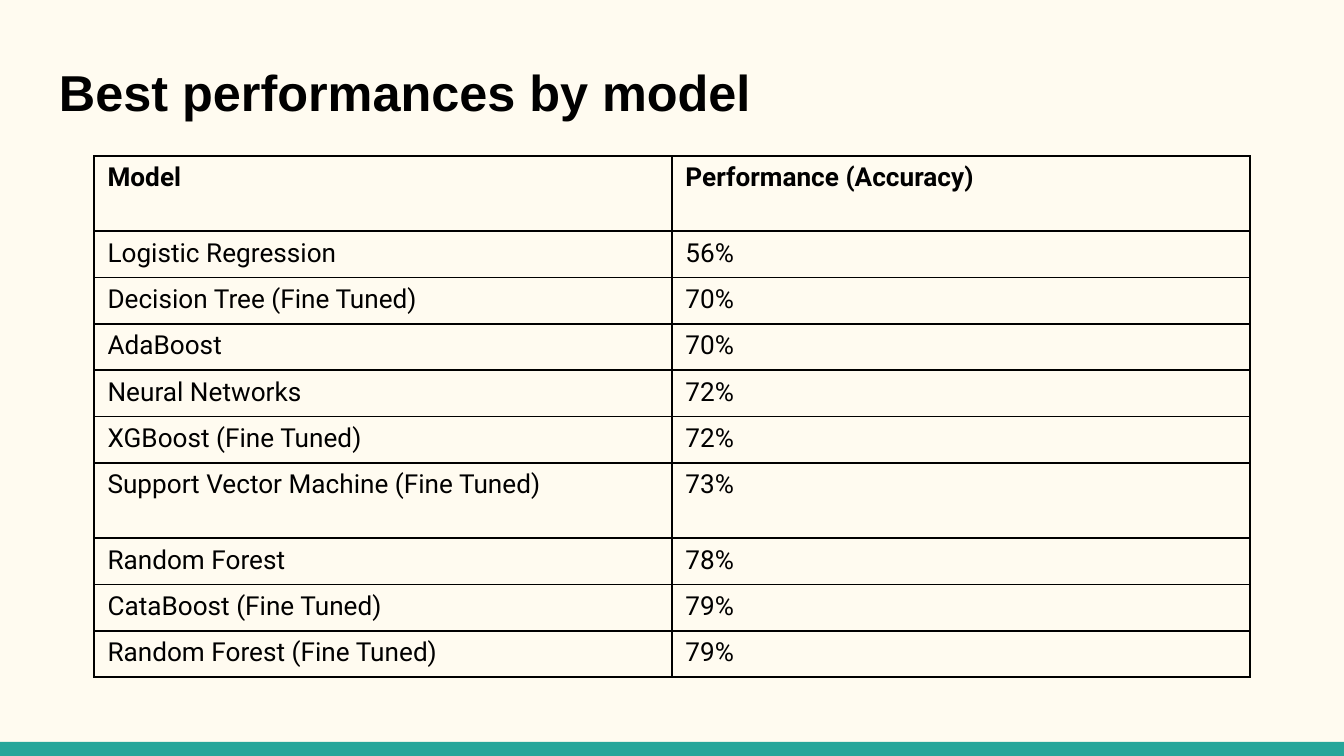
from lxml import etree
from pptx import Presentation
from pptx.dml.color import RGBColor
from pptx.enum import shapes, text
from pptx.oxml.ns import qn
from pptx.util import Inches, Pt

ROWS = [
    ("Model", "Performance (Accuracy)"),
    ("Logistic Regression", "56%"),
    ("Decision Tree (Fine Tuned)", "70%"),
    ("AdaBoost", "70%"),
    ("Neural Networks", "72%"),
    ("XGBoost (Fine Tuned)", "72%"),
    ("Support Vector Machine (Fine Tuned)", "73%"),
    ("Random Forest", "78%"),
    ("CataBoost (Fine Tuned)", "79%"),
    ("Random Forest (Fine Tuned)", "79%"),
]
TALL_ROWS = (0, 6)
TALL_HEIGHT = 0.56


def color(value):
    return RGBColor.from_string(value)


def set_font(p, name, size, bold):
    p.font.name = name
    p.font.size = Pt(size)
    p.font.bold = bold
    p.font.color.rgb = color("000000")


def add_footer_bar(slide, x, y, w, h):
    sp = slide.shapes.add_shape(
        shapes.MSO_SHAPE.RECTANGLE, Inches(x), Inches(y), Inches(w), Inches(h))
    sp.shadow.inherit = False
    sp.fill.solid()
    sp.fill.fore_color.rgb = color("26A69A")
    sp.line.fill.background()


def add_title(slide, x, y, w, h):
    sp = slide.shapes.add_textbox(Inches(x), Inches(y), Inches(w), Inches(h))
    tf = sp.text_frame
    tf.word_wrap = True
    tf.vertical_anchor = text.MSO_ANCHOR.TOP
    tf.margin_left = tf.margin_right = Inches(0.1)
    tf.margin_top = tf.margin_bottom = Inches(0.1)
    p = tf.paragraphs[0]
    p.text = "Best performances by model"
    p.line_spacing = 1.15
    set_font(p, "Arial", 27, True)


def set_borders(cell):
    props = cell._tc.get_or_add_tcPr()
    for i, side in enumerate(("a:lnL", "a:lnR", "a:lnT", "a:lnB")):
        ln = etree.Element(qn(side), w=str(Pt(1)))
        fill = etree.SubElement(ln, qn("a:solidFill"))
        etree.SubElement(fill, qn("a:srgbClr"), val="000000")
        props.insert(i, ln)


def add_performance_table(slide, x, y, w, h):
    table = slide.shapes.add_table(
        len(ROWS), 2, Inches(x), Inches(y), Inches(w), Inches(h)).table
    table.horz_banding = False
    for column in table.columns:
        column.width = Inches(w / 2)
    short_height = (h - TALL_HEIGHT * len(TALL_ROWS)) / (len(ROWS) - len(TALL_ROWS))
    for i, values in enumerate(ROWS):
        table.rows[i].height = Inches(TALL_HEIGHT if i in TALL_ROWS else short_height)
        for j, value in enumerate(values):
            cell = table.cell(i, j)
            cell.fill.background()
            set_borders(cell)
            p = cell.text_frame.paragraphs[0]
            p.text = value
            set_font(p, "Roboto", 14, i == 0)


def main():
    prs = Presentation()
    prs.slide_width = Inches(10)
    prs.slide_height = prs.slide_width * 9 // 16
    slide = prs.slides.add_slide(prs.slide_layouts[6])
    slide.background.fill.solid()
    slide.background.fill.fore_color.rgb = color("FFFBF0")
    add_footer_bar(slide, 0, 5.52, 10, 0.11)
    add_title(slide, 0.34, 0.29, 9.32, 0.67)
    add_performance_table(slide, 0.7, 1.16, 8.6, 3.88)
    prs.save("out.pptx")


if __name__ == "__main__":
    main()
